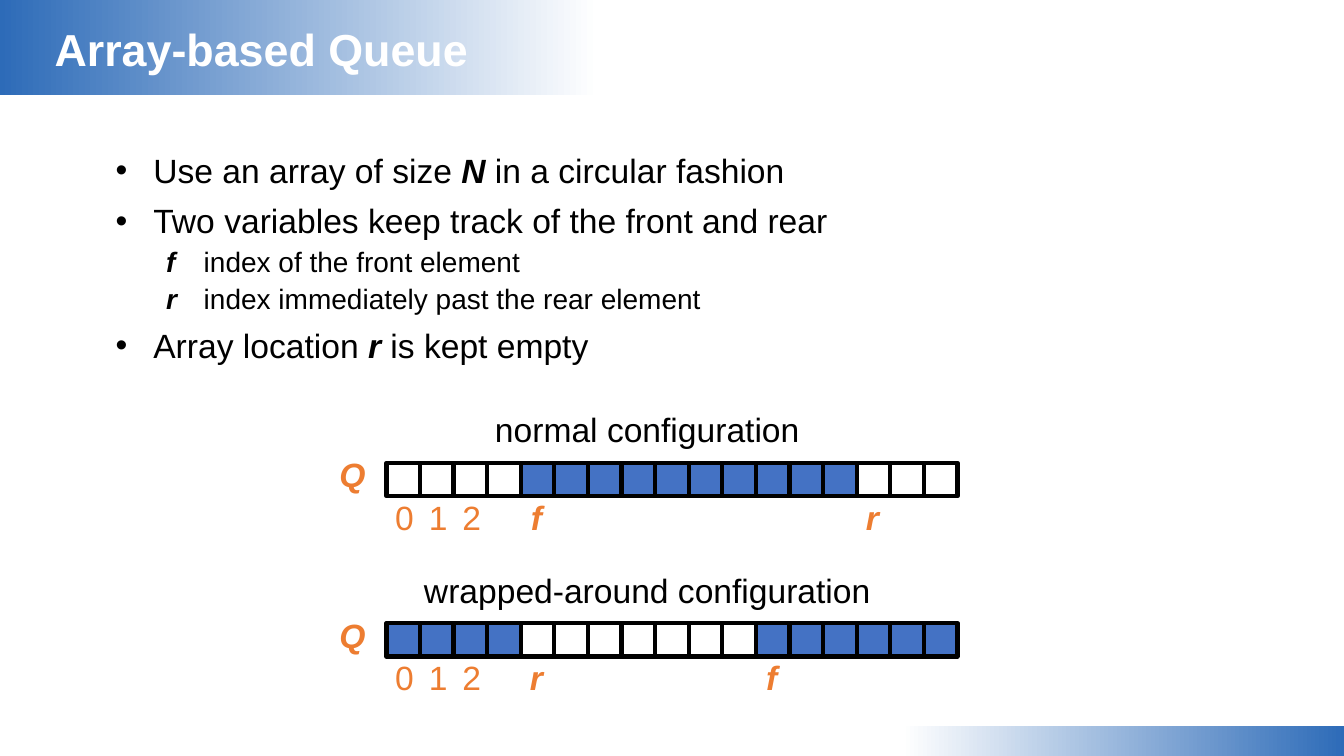
from lxml import etree
from pptx import Presentation
from pptx.dml.color import RGBColor
from pptx.enum.shapes import MSO_SHAPE
from pptx.enum.text import MSO_ANCHOR, MSO_AUTO_SIZE as AutoSize, PP_ALIGN as Align
from pptx.oxml.ns import qn
from pptx.util import Cm, Pt

COLORS = {
    "text": "000000",
    "title": "FFFFFF",
    "label": "ED7D31",
    "filled": "4472C4",
    "empty": "FFFFFF",
    "border": "000000",
    "band": "2D6BB8",
    "band_end": "FFFFFF",
}
FONT = "Arial"

# Geometry of the queue diagrams, in cm
CELL_COUNT = 17
ROW_LEFT = 9.74
CELL = 14.39 / CELL_COUNT
CAPTION_CENTER = 16.31

# Each list item: level, then (text, emphasized) pieces
BULLETS = [
    (0, [("Use an array of size ", False), ("N", True), (" in a circular fashion", False)]),
    (0, [("Two variables keep track of the front and rear", False)]),
    (1, [("f", True), (" \tindex of the front element", False)]),
    (1, [("r", True), ("\tindex immediately past the rear element", False)]),
    (0, [("Array location ", False), ("r", True), (" is kept empty", False)]),
]


def rgb(name):
    return RGBColor.from_string(COLORS[name])


def add_text(paragraph, text, size=24, color="text", bold=False, italic=False):
    run = paragraph.add_run()
    run.text = text
    font = run.font
    font.name, font.size, font.bold, font.italic = FONT, Pt(size), bold, italic
    font.color.rgb = rgb(color)


def place(shape, left, top, width, height):
    shape.left, shape.top = Cm(left), Cm(top)
    shape.width, shape.height = Cm(width), Cm(height)


def add_label(shapes, text, left, top, width, height=1.02, inset=(0, 0),
              align=Align.CENTER, **text_format):
    label = shapes.add_textbox(Cm(left), Cm(top), Cm(width), Cm(height))
    frame = label.text_frame
    frame.word_wrap = True
    frame.auto_size = AutoSize.SHAPE_TO_FIT_TEXT
    frame.margin_left = frame.margin_right = Cm(inset[0])
    frame.margin_top = frame.margin_bottom = Cm(inset[1])
    paragraph = frame.paragraphs[0]
    paragraph.alignment = align
    add_text(paragraph, text, **text_format)


def add_rectangle(shapes, left, top, width, height):
    rectangle = shapes.add_shape(
        MSO_SHAPE.RECTANGLE, Cm(left), Cm(top), Cm(width), Cm(height))
    rectangle.shadow.inherit = False
    return rectangle


def add_band(slide, left, top, width, height, rotation=0):
    band = add_rectangle(slide.shapes, left, top, width, height)
    band.rotation = rotation
    band.line.fill.background()
    band.fill.gradient()
    band.fill.gradient_angle = 0
    stops = zip(band.fill.gradient_stops, (("band", 0), ("band_end", 0.66)))
    for stop, (color, position) in stops:
        stop.color.rgb = rgb(color)
        stop.position = position


def fill_title(slide, text):
    title = slide.shapes.title
    place(title, 1.12, 0.41, 14.91, 1.63)
    frame = title.text_frame
    frame.auto_size = AutoSize.NONE
    frame.vertical_anchor = MSO_ANCHOR.MIDDLE
    paragraph = frame.paragraphs[0]
    paragraph.alignment = Align.LEFT
    add_text(paragraph, text, size=32, color="title", bold=True)
    # Bring the title in front of its band
    title.element.getparent().append(title.element)


def set_bullet(paragraph, level):
    properties = paragraph._p.get_or_add_pPr()
    properties.set("marL", str(Cm(1.27 * (level + 1))))
    properties.set("indent", str(Cm(-0.95)))
    if level:
        etree.SubElement(properties, qn("a:buNone"))
    else:
        etree.SubElement(properties, qn("a:buFont")).set("typeface", FONT)
        etree.SubElement(properties, qn("a:buChar")).set("char", "•")


def fill_list(slide, items):
    body = slide.placeholders[1]
    place(body, 2.34, 3.76, 29.74, 7.26)
    frame = body.text_frame
    frame.auto_size = AutoSize.NONE
    frame.vertical_anchor = MSO_ANCHOR.TOP
    for index, (level, pieces) in enumerate(items):
        paragraph = frame.add_paragraph() if index else frame.paragraphs[0]
        paragraph.level = level
        paragraph.line_spacing = 0.9
        paragraph.space_before = Pt(5 if level else 10)
        set_bullet(paragraph, level)
        for text, emphasized in pieces:
            add_text(paragraph, text, size=20 if level else 24,
                     bold=emphasized, italic=emphasized)


def add_queue(slide, caption, caption_width, top, front, rear):
    queue = slide.shapes.add_group_shape().shapes
    variable = dict(color="label", bold=True, italic=True)
    index_top = top + 0.86

    # Array name, first indices and the two variables
    add_label(queue, "Q", 8.47, top - 0.21, 0.82, **variable)
    for index in range(3):
        add_label(queue, str(index), ROW_LEFT + index * CELL + 0.22, index_top, 0.48,
                  align=Align.LEFT, color="label")
    for name, index in (("f", front), ("r", rear)):
        add_label(queue, name, ROW_LEFT + index * CELL, index_top, 0.79, **variable)

    # Cells from front up to rear are occupied, wrapping past the end
    size = (rear - front) % CELL_COUNT
    for index in range(CELL_COUNT):
        occupied = (index - front) % CELL_COUNT < size
        cell = add_rectangle(queue, ROW_LEFT + index * CELL, top, CELL, CELL)
        cell.fill.solid()
        cell.fill.fore_color.rgb = rgb("filled" if occupied else "empty")
        cell.line.color.rgb = rgb("border")
        cell.line.width = Pt(3)

    add_label(slide.shapes, caption, CAPTION_CENTER - caption_width / 2, top - 1.48,
              caption_width, height=1.27, inset=(0.25, 0.13))


def main():
    presentation = Presentation()
    presentation.slide_width, presentation.slide_height = Cm(33.87), Cm(19.05)
    slide = presentation.slides.add_slide(presentation.slide_layouts[1])

    # Explanation
    fill_list(slide, BULLETS)

    # Queue diagrams
    add_queue(slide, "normal configuration", 8.69, 11.66, front=4, rear=14)
    add_queue(slide, "wrapped-around configuration", 12.45, 15.7, front=11, rear=4)

    # Bands and title
    add_band(slide, -0.02, -0.02, 22.88, 2.41)
    add_band(slide, 16.96, 18.29, 16.93, 0.76, rotation=180)
    fill_title(slide, "Array-based Queue")

    presentation.save("out.pptx")


if __name__ == "__main__":
    main()
